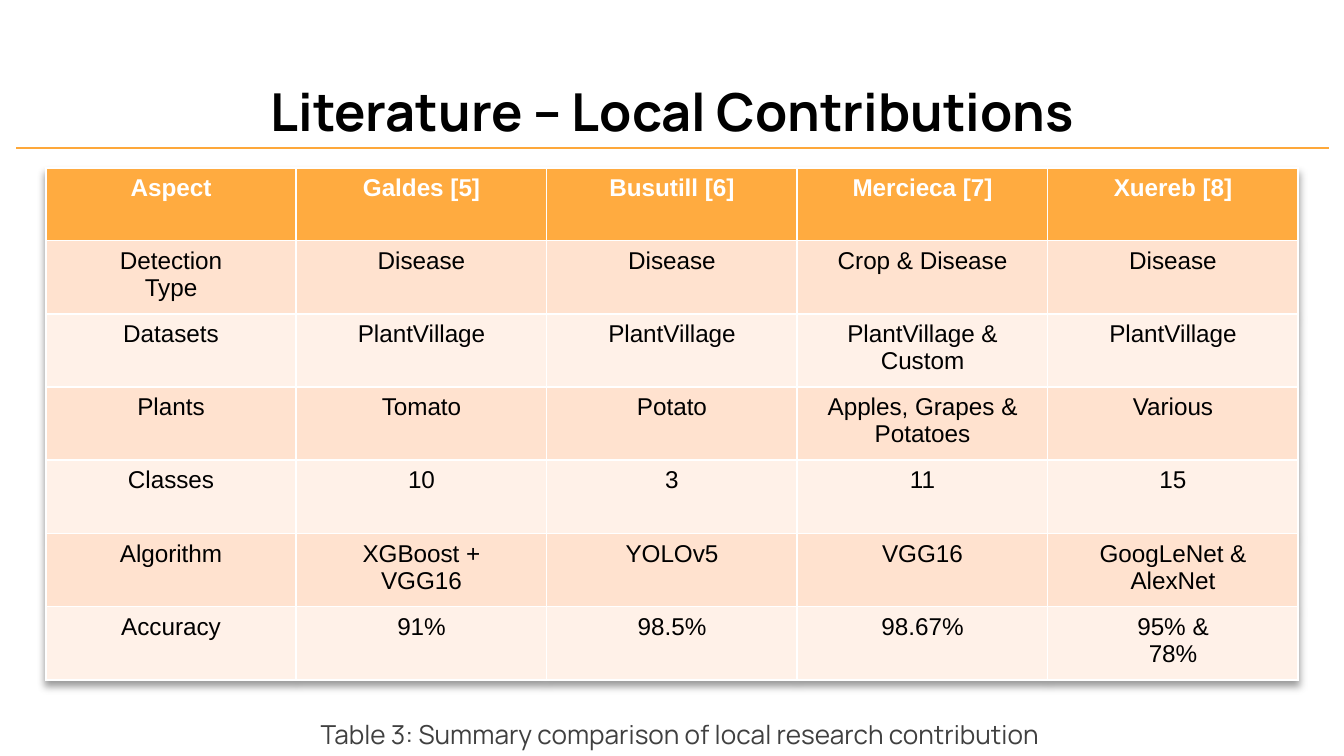
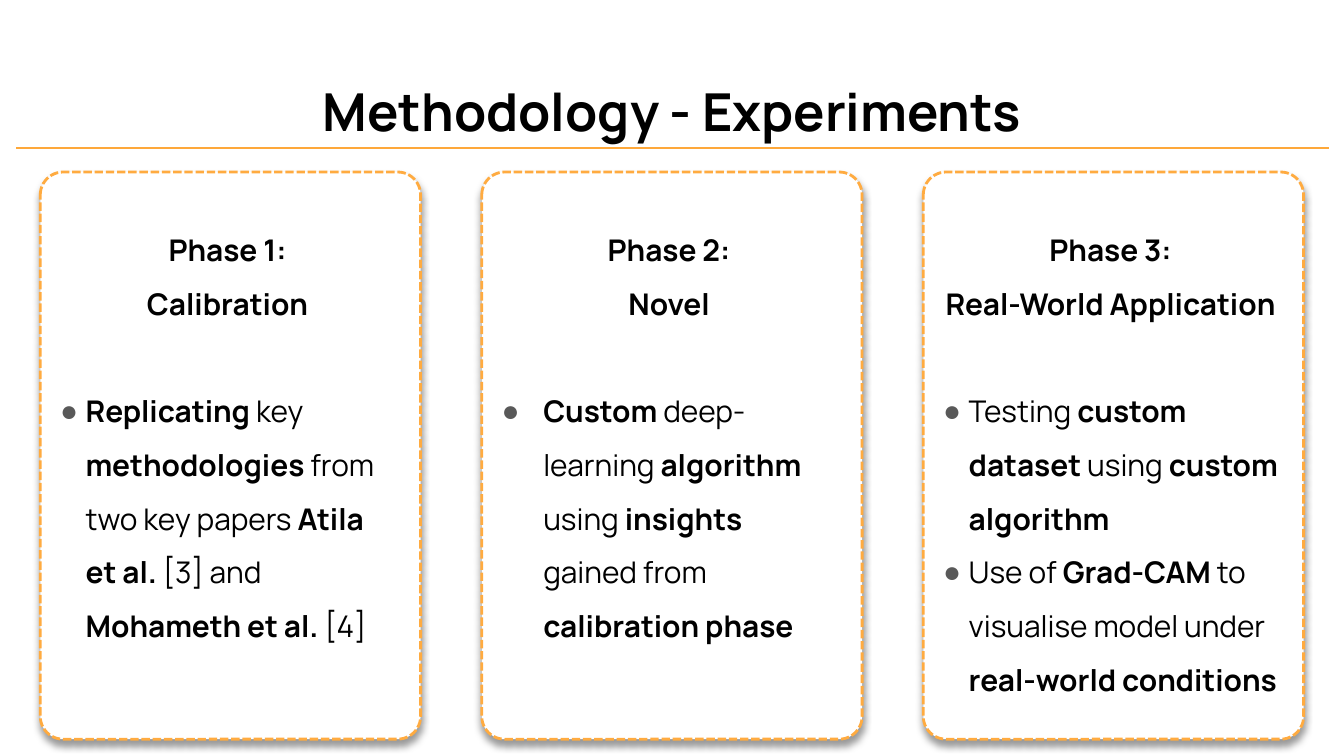
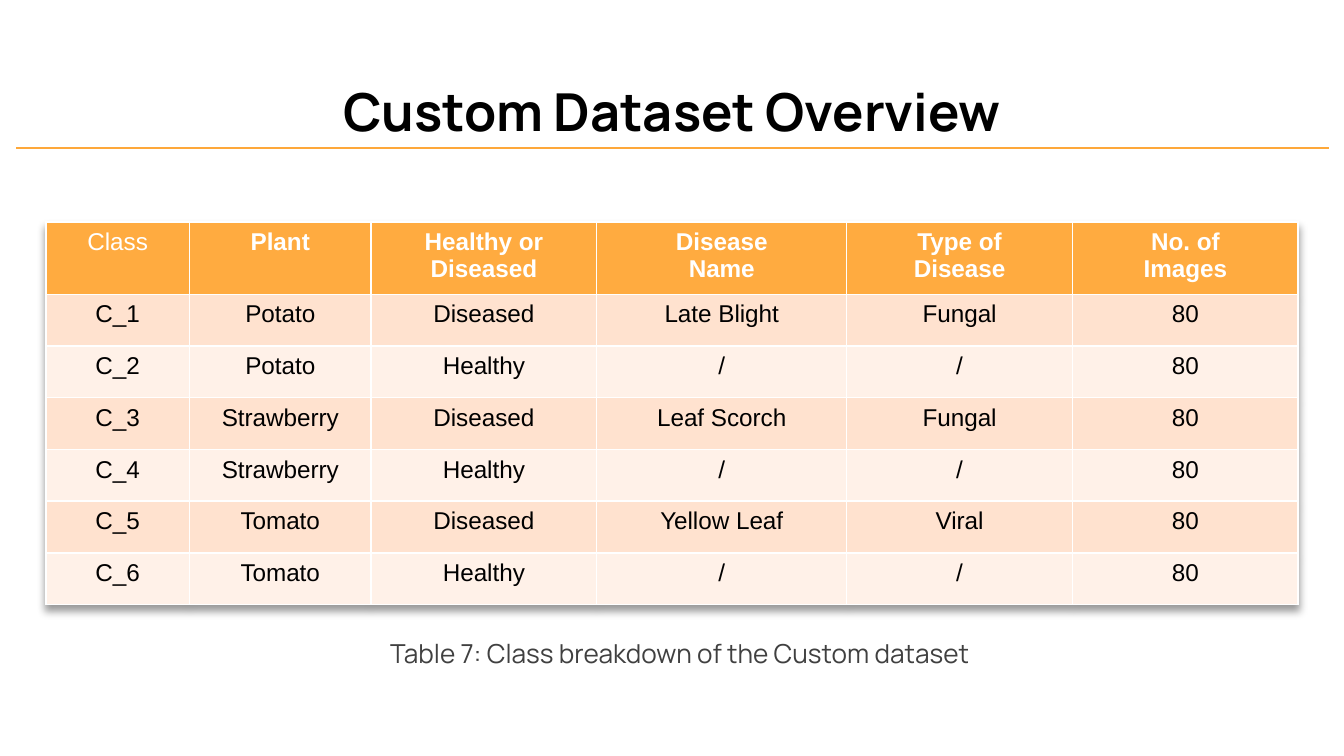
import lxml.etree
import pptx
import pptx.dml.color
import pptx.enum.dml
import pptx.enum.shapes
import pptx.enum.text
import pptx.oxml.ns
import pptx.util

Inches, Pt = pptx.util.Inches, pptx.util.Pt
qn = pptx.oxml.ns.qn
ALIGN = pptx.enum.text.PP_ALIGN
ANCHOR = pptx.enum.text.MSO_ANCHOR

COLORS = {
    "ink": "000000",
    "paper": "FFFFFF",
    "caption": "404040",
    "bullet": "595959",
    "rule": "FEA83A",
    "accent": "FFAB40",
    "band_dark": "FFE2CF",
    "band_light": "FFF1E8",
}
HEADING_FONT, TABLE_FONT = "Manrope", "Arial"
LEFT, WIDTH = 0.34, 9.32
HEADER_HEIGHT = 0.54
PHASE_LEFT, PHASE_RIGHT, PHASE_TOP = 0.3, 9.7, 1.28
PHASE_WIDTH, PHASE_HEIGHT = 2.83, 4.22
PHASE_SIZE, PHASE_SPACING = 16, 1.5
PHASE_LINE = PHASE_SIZE * 1.2 * PHASE_SPACING

CONTRIBUTIONS = {
    "title": "Literature – Local Contributions",
    "rows": [
        ("Aspect", "Galdes [5]", "Busutill [6]", "Mercieca [7]", "Xuereb [8]"),
        ("Detection\nType", "Disease", "Disease", "Crop & Disease", "Disease"),
        ("Datasets", "PlantVillage", "PlantVillage", "PlantVillage & Custom", "PlantVillage"),
        ("Plants", "Tomato", "Potato", "Apples, Grapes &\nPotatoes", "Various"),
        ("Classes", "10", "3", "11", "15"),
        ("Algorithm", "XGBoost +\nVGG16", "YOLOv5", "VGG16", "GoogLeNet &\nAlexNet"),
        ("Accuracy", "91%", "98.5%", "98.67%", "95% &\n78%"),
    ],
    "columns": [WIDTH / 5] * 5,
    "top": 1.25,
    "height": 3.81,
    "caption": "Table 3: Summary comparison of local research contribution",
    "caption_box": (LEFT, 4.99, WIDTH, 0.6),
    "caption_spacing": 2.5,
}

EXPERIMENTS = {
    "title": "Methodology - Experiments",
    "phases": [
        {
            "heading": "Phase 1:\nCalibration",
            "points": "*Replicating* key *methodologies* from two key papers "
                      "*Atila et al.* [3] and *Mohameth et al.* [4]",
            "indent": 0.19,
            "free_lines": 1,
        },
        {
            "heading": "Phase 2:\nNovel",
            "points": "*Custom *deep-learning* algorithm *using *insights* "
                      "gained from *calibration phase*",
            "indent": 0.31,
            "free_lines": 1,
        },
        {
            "heading": "Phase 3:\nReal-World Application",
            "points": "Testing *custom dataset* using *custom algorithm*\n"
                      "Use of *Grad-CAM* to visualise model under *real-world conditions*",
            "indent": 0.19,
            "free_lines": 0,
        },
    ],
}

DATASET = {
    "title": "Custom Dataset Overview",
    "rows": [
        ("*Class*", "Plant", "Healthy or\nDiseased", "Disease\nName", "Type of\nDisease", "No. of\nImages"),
        ("C_1", "Potato", "Diseased", "Late Blight", "Fungal", "80"),
        ("C_2", "Potato", "Healthy", "/", "/", "80"),
        ("C_3", "Strawberry", "Diseased", "Leaf Scorch", "Fungal", "80"),
        ("C_4", "Strawberry", "Healthy", "/", "/", "80"),
        ("C_5", "Tomato", "Diseased", "Yellow Leaf", "Viral", "80"),
        ("C_6", "Tomato", "Healthy", "/", "/", "80"),
    ],
    "columns": [1.07, 1.35, 1.68, 1.86, 1.68, 1.68],
    "top": 1.65,
    "height": 2.85,
    "caption": "Table 7: Class breakdown of the Custom dataset",
    "caption_box": (1.29, 4.5, 7.42, 0.6),
    "caption_spacing": 1.5,
}


def rgb(name):
    return pptx.dml.color.RGBColor.from_string(COLORS[name])


def add_node(parent, tag, **attributes):
    return lxml.etree.SubElement(parent, qn(tag), attributes)


def add_color(parent, name):
    return add_node(add_node(parent, "a:solidFill"), "a:srgbClr", val=COLORS[name])


def write(frame, text, font=HEADING_FONT, size=16, color="ink", bold=False,
          align=ALIGN.CENTER, spacing=None, margin=0, bullet=False):
    for line in text.split("\n"):
        paragraph = frame.paragraphs[0]
        if paragraph.runs:
            paragraph = frame.add_paragraph()
        paragraph.alignment = align
        if spacing:
            paragraph.line_spacing = spacing
        properties = paragraph._p.get_or_add_pPr()
        if margin:
            properties.set("marL", str(Inches(margin)))
            properties.set("indent", str(-Inches(margin) if bullet else 0))
        if bullet:
            add_node(add_node(properties, "a:buClr"), "a:srgbClr", val=COLORS["bullet"])
            add_node(properties, "a:buFont", typeface=TABLE_FONT)
            add_node(properties, "a:buChar", char="●")
        for index, part in enumerate(line.split("*")):
            if part:
                run = paragraph.add_run()
                run.text = part
                run.font.name, run.font.size = font, Pt(size)
                run.font.color.rgb = rgb(color)
                run.font.bold = bold != (index % 2 == 1)
    return paragraph


def set_frame(frame, anchor, right=0.1, bottom=0.1):
    frame.word_wrap = True
    frame.auto_size = pptx.enum.text.MSO_AUTO_SIZE.NONE
    frame.vertical_anchor = anchor
    frame.margin_left = frame.margin_top = Inches(0.1)
    frame.margin_right, frame.margin_bottom = Inches(right), Inches(bottom)


def add_shadow(effects):
    shadow = add_node(effects, "a:outerShdw", blurRad=str(Pt(4)), dist=str(Pt(3)),
                      dir="5400000", algn="t", rotWithShape="0")
    add_node(add_node(shadow, "a:srgbClr", val=COLORS["ink"]), "a:alpha", val="40000")


def add_titled_slide(deck, text):
    slide = deck.slides.add_slide(deck.slide_layouts[5])
    title = slide.shapes.title
    title.left, title.top = Inches(LEFT), Inches(0.49)
    title.width, title.height = Inches(WIDTH), Inches(0.63)
    set_frame(title.text_frame, ANCHOR.TOP)
    write(title.text_frame, text, size=28, bold=True)
    rule = slide.shapes.add_connector(
        pptx.enum.shapes.MSO_CONNECTOR.STRAIGHT,
        Inches(0.12), Inches(1.1), Inches(9.89), Inches(1.1))
    rule.line.color.rgb, rule.line.width = rgb("rule"), Pt(1)
    add_node(rule._element.spPr, "a:effectLst")
    return slide


def format_cell(cell, text, row):
    header = row == 0
    properties = cell._tc.get_or_add_tcPr()
    for side in "LRTB":
        add_color(add_node(properties, f"a:ln{side}", w=str(Pt(1))), "paper")
    cell.margin_left = cell.margin_right = Inches(0.09)
    cell.margin_top = cell.margin_bottom = Inches(0.05)
    cell.fill.solid()
    band = "band_dark" if row % 2 else "band_light"
    cell.fill.fore_color.rgb = rgb("accent" if header else band)
    write(cell.text_frame, text, font=TABLE_FONT, size=13,
          color="paper" if header else "ink", bold=header)


def add_table_slide(deck, content):
    slide = add_titled_slide(deck, content["title"])
    rows, columns = content["rows"], content["columns"]
    table = slide.shapes.add_table(
        len(rows), len(columns), Inches(LEFT), Inches(content["top"]),
        Inches(WIDTH), Inches(content["height"])).table
    effects = add_node(table._tbl.tblPr, "a:effectLst")
    add_shadow(effects)
    table._tbl.tblPr.insert(0, effects)
    for column, width in zip(table.columns, columns):
        column.width = Inches(width)
    body_height = (content["height"] - HEADER_HEIGHT) / (len(rows) - 1)
    for row, texts in enumerate(rows):
        table.rows[row].height = Inches(body_height if row else HEADER_HEIGHT)
        for column, text in enumerate(texts):
            format_cell(table.cell(row, column), text, row)
    caption = slide.shapes.add_textbox(*map(Inches, content["caption_box"])).text_frame
    set_frame(caption, ANCHOR.MIDDLE)
    write(caption, content["caption"], size=14, color="caption",
          spacing=content["caption_spacing"], margin=0.12)


def add_phase(slide, left, phase):
    card = slide.shapes.add_shape(
        pptx.enum.shapes.MSO_SHAPE.ROUNDED_RECTANGLE,
        Inches(left), Inches(PHASE_TOP), Inches(PHASE_WIDTH), Inches(PHASE_HEIGHT))
    card.adjustments[0] = 0.06
    card.fill.solid()
    card.fill.fore_color.rgb = rgb("paper")
    card.line.color.rgb, card.line.width = rgb("accent"), Pt(1.5)
    card.line.dash_style = pptx.enum.dml.MSO_LINE.SQUARE_DOT
    card.shadow.inherit = False
    add_shadow(card._element.spPr.find(qn("a:effectLst")))
    frame = card.text_frame
    set_frame(frame, ANCHOR.MIDDLE, right=0.14,
              bottom=0.1 + phase["free_lines"] * PHASE_LINE / 72)
    heading = write(frame, phase["heading"], size=PHASE_SIZE, bold=True, spacing=PHASE_SPACING)
    heading.space_after = Pt(PHASE_LINE)
    write(frame, phase["points"], size=PHASE_SIZE, align=ALIGN.LEFT,
          spacing=PHASE_SPACING, margin=phase["indent"], bullet=True)


def add_phase_slide(deck, content):
    slide = add_titled_slide(deck, content["title"])
    phases = content["phases"]
    step = (PHASE_RIGHT - PHASE_WIDTH - PHASE_LEFT) / (len(phases) - 1)
    for index, phase in enumerate(phases):
        add_phase(slide, PHASE_LEFT + index * step, phase)


def main():
    deck = pptx.Presentation()
    deck.slide_width = Inches(10)
    deck.slide_height = deck.slide_width * 9 // 16
    add_table_slide(deck, CONTRIBUTIONS)
    add_phase_slide(deck, EXPERIMENTS)
    add_table_slide(deck, DATASET)
    deck.save("out.pptx")


if __name__ == "__main__":
    main()
